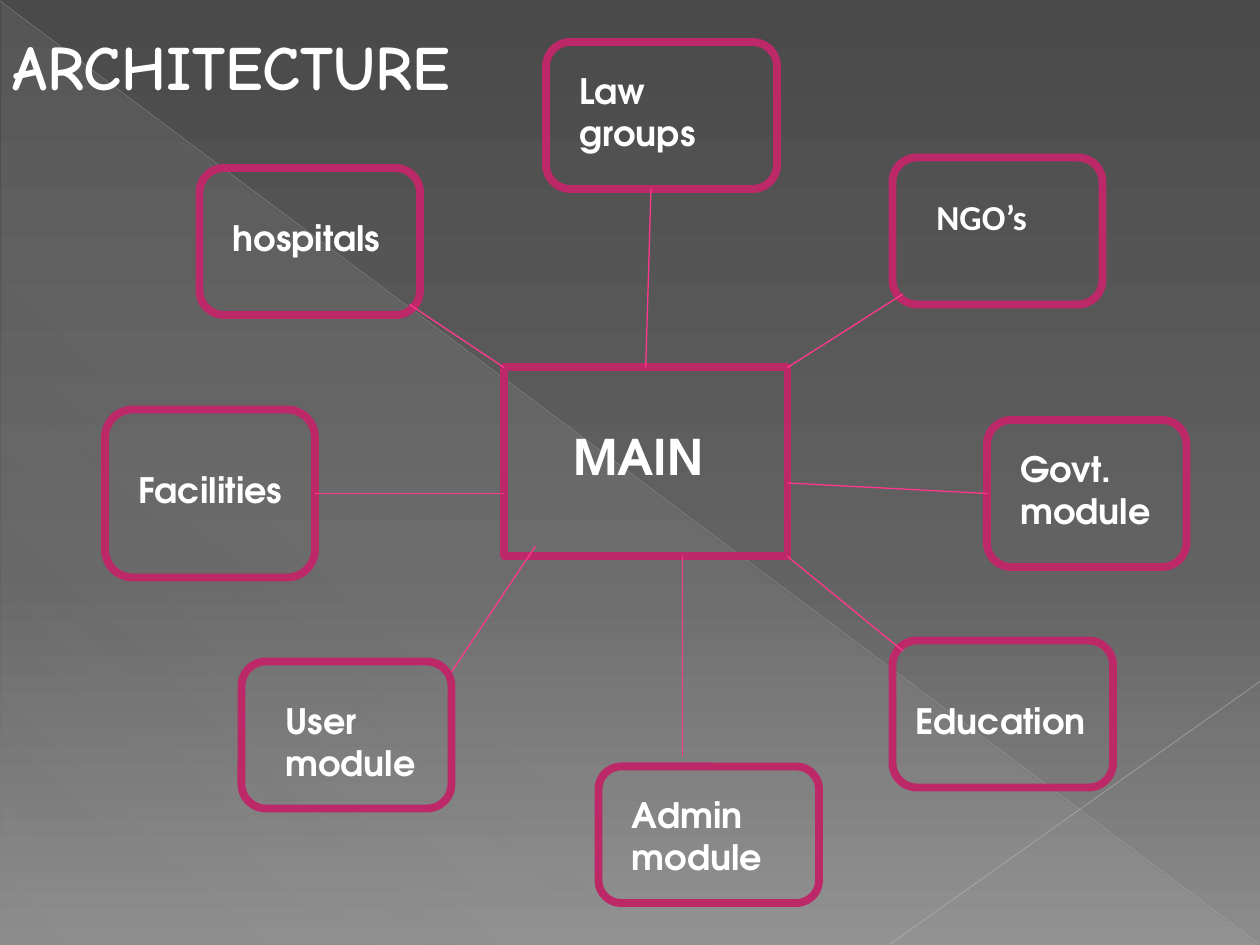
from lxml.etree import SubElement
from pptx import Presentation
from pptx.dml.color import RGBColor
from pptx.enum.shapes import MSO_CONNECTOR, MSO_SHAPE
from pptx.enum.text import MSO_AUTO_SIZE
from pptx.oxml.ns import qn
from pptx.util import Inches, Pt

COLORS = {
    "border": "BD2968", "link": "FF388C", "text": "FFFFFF",
    "dark": "4A4A4A", "middle": "626262", "light": "8C8C8C",
    "veil": "D2D2D2", "diagonal": "BFBFBF", "crossing": "C6C6C6",
}
FONT = "TeX Gyre Adventor"

deck = Presentation()
deck.slide_width, deck.slide_height = Inches(10), Inches(7.5)
page = deck.slides.add_slide(deck.slide_layouts[6])
unit = deck.slide_width // 120  # grid of 120 columns by 90 rows


def set_gradient(fill, parent, stops, angle):
    """Give a fill gradient stops of (position %, colour name, opacity %)."""
    fill.gradient()
    gradient = next(parent.iter(qn("a:gradFill")))
    for child in list(gradient):
        gradient.remove(child)
    stop_list = SubElement(gradient, qn("a:gsLst"))
    for position, color, opacity in stops:
        stop = SubElement(stop_list, qn("a:gs"), pos=str(position * 1000))
        tint = SubElement(stop, qn("a:srgbClr"), val=COLORS[color])
        if opacity < 100:
            SubElement(tint, qn("a:alpha"), val=str(opacity * 1000))
    SubElement(gradient, qn("a:lin"), ang=str(angle * 60000), scaled="0")


def add_line(start, end, color, width, opacity=100):
    """Draw a straight line between two (column, row) points."""
    ends = [round(value * unit) for value in (*start, *end)]
    line = page.shapes.add_connector(MSO_CONNECTOR.STRAIGHT, *ends)
    line.line.color.rgb = RGBColor.from_string(COLORS[color])
    line.line.width = Pt(width)
    properties = line._element.spPr
    SubElement(properties, qn("a:effectLst"))
    if opacity < 100:
        tint = next(properties.iter(qn("a:srgbClr")))
        SubElement(tint, qn("a:alpha"), val=str(opacity * 1000))
    return line


# Background with a veil and two faint lines
set_gradient(page.background.fill, page._element,
             [(0, "dark", 100), (60, "middle", 100), (100, "light", 100)], 90)
veil = page.shapes.add_shape(MSO_SHAPE.RIGHT_TRIANGLE, Inches(0.01), Inches(0.02),
                             Inches(9.98), Inches(7.48))
veil.shadow.inherit = False
veil.line.fill.background()
set_gradient(veil.fill, veil._element,
             [(0, "veil", 10), (70, "veil", 8), (100, "veil", 1)], 133)
add_line((0, 0.1), (119.9, 89.9), "diagonal", 0.39, 35)
add_line((120, 64.9), (84.8, 89.9), "crossing", 0.47, 45)

# Module frames: column, row, columns wide, rows high
frames = {
    "MAIN": (48, 35, 27, 18),
    "NGO’s": (85, 15, 20, 14),
    "Govt. module": (94, 40, 19, 14),
    "Law groups": (52, 4, 22, 14),
    "hospitals": (19, 16, 21, 14),
    "Facilities": (10, 39, 20, 16),
    "User module": (23, 63, 20, 14),
    "Education": (85, 61, 21, 14),
    "Admin module": (57, 73, 21, 13),
}
modules = {}
for name, place in frames.items():
    outline = MSO_SHAPE.RECTANGLE if name == "MAIN" else MSO_SHAPE.ROUNDED_RECTANGLE
    frame = page.shapes.add_shape(outline, *(value * unit for value in place))
    frame.shadow.inherit = False
    frame.fill.background()
    frame.line.color.rgb = RGBColor.from_string(COLORS["border"])
    frame.line.width = Pt(4.5)
    modules[name] = frame

# Links between the main block and its modules
links = {
    "NGO’s": ((75, 35), (86, 28)),
    "Govt. module": ((75, 46), (94, 47)),
    "Education": ((75, 53), (86, 62)),
    "Admin module": ((65, 53), (65, 72)),
    "Law groups": ((61.5, 35), (62, 18)),
    "hospitals": ((48, 35), (39, 29)),
    "Facilities": ((48, 47), (30, 47)),
    "User module": ((51, 52), (43, 64)),
}
connectors = {name: add_line(*ends, "link", 0.75) for name, ends in links.items()}
connectors["Law groups"].begin_connect(modules["MAIN"], 0)
connectors["Govt. module"].end_connect(modules["Govt. module"], 1)
connectors["Facilities"].end_connect(modules["Facilities"], 3)

# Labels: text, column, row, columns wide, height in inches, size, font
labels = [
    ("Law groups", 54, 6, 18, 0.77, 20, FONT),
    ("NGO’s", 88, 18, 14, 0.44, 20, "Calibri"),
    ("Govt. module", 96, 42, 15, 0.77, 20, FONT),
    ("hospitals", 21, 20, 17, 0.44, 20, FONT),
    ("Facilities", 12, 44, 18, 0.44, 20, FONT),
    ("User module", 26, 66, 15, 0.77, 20, FONT),
    ("Admin module", 59, 75, 17, 0.77, 20, FONT),
    ("Education", 86, 66, 20, 0.44, 20, FONT),
    ("MAIN", 51, 40, 21, 0.57, 28, FONT),
    ("ARCHITECTURE", 0, 2, 48, 0.71, 36, "Comic Neue"),
]
for text, column, row, columns, height, size, font in labels:
    box = page.shapes.add_textbox(column * unit, row * unit, columns * unit, Inches(height))
    box.text_frame.word_wrap = True
    box.text_frame.auto_size = MSO_AUTO_SIZE.SHAPE_TO_FIT_TEXT
    if text == "MAIN":
        box.text_frame.margin_left = Inches(0.3)
    para = box.text_frame.paragraphs[0]
    para.text = text
    para.font.name, para.font.size, para.font.bold = font, Pt(size), True
    para.font.color.rgb = RGBColor.from_string(COLORS["text"])

deck.save("out.pptx")
